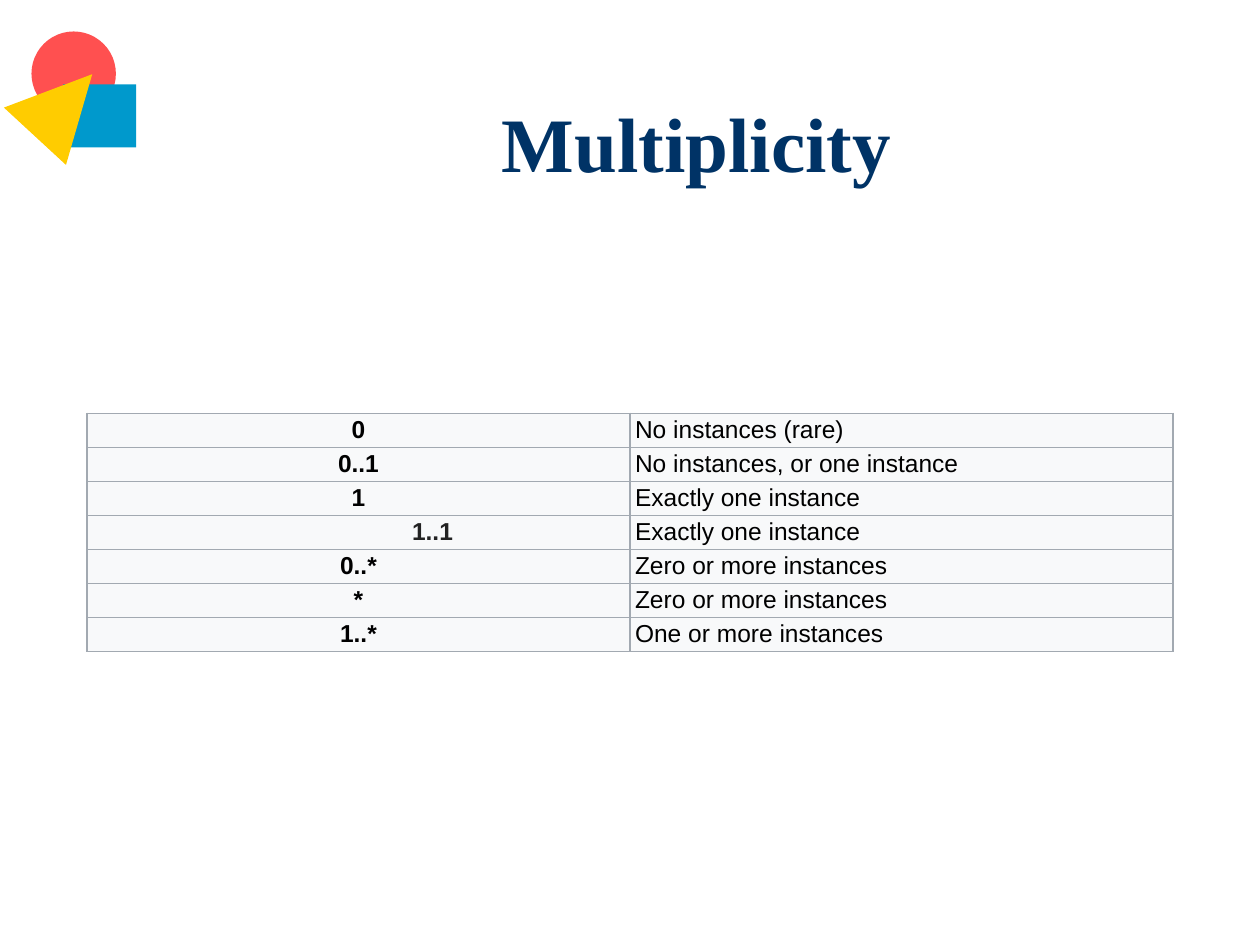
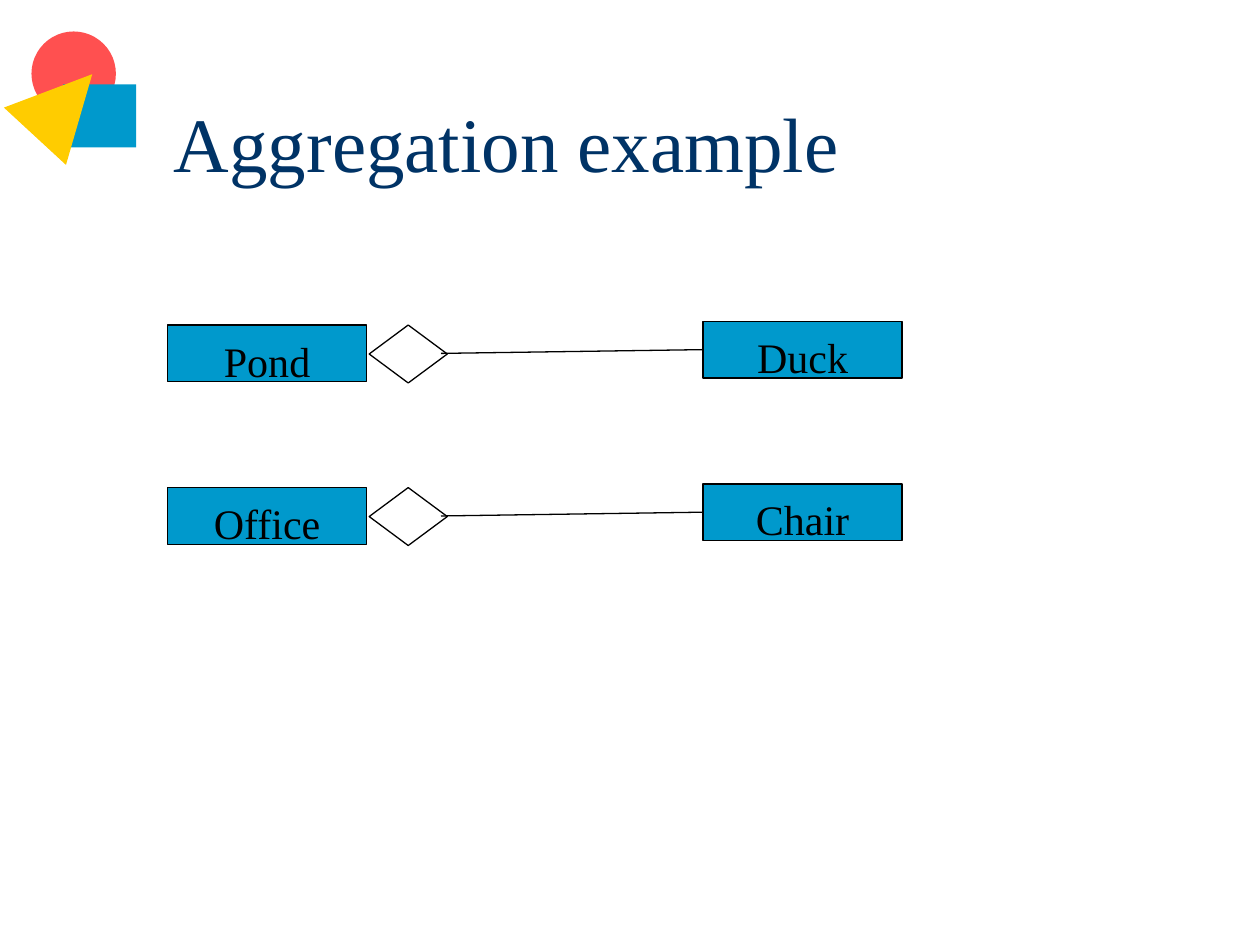
from lxml import etree
from pptx import Presentation
from pptx.dml.color import RGBColor
from pptx.enum.shapes import MSO_CONNECTOR, MSO_SHAPE
from pptx.enum.text import MSO_ANCHOR, PP_ALIGN
from pptx.oxml import parse_xml
from pptx.oxml.ns import nsdecls, qn
from pptx.util import Inches, Pt

OVAL, RECT = MSO_SHAPE.OVAL, MSO_SHAPE.RECTANGLE
TRIANGLE, DIAMOND = MSO_SHAPE.ISOSCELES_TRIANGLE, MSO_SHAPE.DIAMOND
STRAIGHT = MSO_CONNECTOR.STRAIGHT
LEFT, CENTER = PP_ALIGN.LEFT, PP_ALIGN.CENTER
TOP, MIDDLE = MSO_ANCHOR.TOP, MSO_ANCHOR.MIDDLE

NAVY = RGBColor(0x00, 0x33, 0x66)
RED = RGBColor(0xFF, 0x50, 0x50)
BLUE = RGBColor(0x00, 0x99, 0xCC)
YELLOW = RGBColor(0xFF, 0xCC, 0x00)
BLACK = RGBColor(0, 0, 0)
CHARCOAL = RGBColor(0x22, 0x22, 0x22)
CELL_FILL = RGBColor(0xF8, 0xF9, 0xFA)
BORDER = RGBColor(0xA2, 0xA9, 0xB1)

SERIF, SANS = "Times New Roman", "Arial"
THIN = Pt(0.75)

MULTIPLICITIES = [
    ("0", "No instances (rare)"),
    ("0..1", "No instances, or one instance"),
    ("1", "Exactly one instance"),
    ("1..1", "Exactly one instance"),
    ("0..*", "Zero or more instances"),
    ("*", "Zero or more instances"),
    ("1..*", "One or more instances"),
]
AGGREGATIONS = [("Pond", "Duck"), ("Office", "Chair")]


class Deck:
    """Holds the shared style and the current slide."""

    def __init__(self):
        self.prs = Presentation()
        self.prs.slide_width, self.prs.slide_height = Inches(10), Inches(7.5)
        self.s = None

    def add_text(self, tf, text, align=LEFT, **font):
        p = tf.paragraphs[0]
        p.alignment = align
        r = p.add_run()
        r.text = text
        style = {"name": SERIF, "bold": False} | font
        r.font.color.rgb = style.pop("color", BLACK)
        for name, value in style.items():
            setattr(r.font, name, value)

    def slide(self, title, align=LEFT, bold=False):
        self.s = self.prs.slides.add_slide(self.prs.slide_layouts[5])
        self.shape(OVAL, 0.25, 0.25, 0.67, 0.67, RED)
        self.shape(RECT, 0.5, 0.67, 0.58, 0.5, BLUE)
        self.shape(TRIANGLE, 0.17, 0.5, 0.67, 0.67, YELLOW).rotation = 42.7
        sp = self.s.shapes.title
        box = {"left": 1.28, "top": 0.5, "width": 8.5, "height": 1.25}
        for name, value in box.items():
            setattr(sp, name, Inches(value))
        sp.text_frame.vertical_anchor = MIDDLE
        self.add_text(sp.text_frame, title, align, size=Pt(44), color=NAVY, bold=bold)

    def shape(self, kind, x, y, w, h, fill=None, line=None):
        sp = self.s.shapes.add_shape(kind, Inches(x), Inches(y), Inches(w), Inches(h))
        sp.shadow.inherit = False
        if fill is None:
            sp.fill.background()
        else:
            sp.fill.solid()
            sp.fill.fore_color.rgb = fill
        if line is None:
            sp.line.fill.background()
        else:
            sp.line.color.rgb, sp.line.width = line, THIN
        return sp

    def class_box(self, x, y, w, h, text):
        tf = self.shape(RECT, x, y, w, h, BLUE, BLACK).text_frame
        tf.vertical_anchor = TOP
        tf.margin_top, tf.margin_bottom = Inches(0.08), 0
        self.add_text(tf, text, CENTER, size=Pt(24))

    def line(self, x1, y1, x2, y2):
        c = self.s.shapes.add_connector(
            STRAIGHT, Inches(x1), Inches(y1), Inches(x2), Inches(y2))
        c.line.color.rgb, c.line.width = BLACK, THIN
        etree.SubElement(c._element.spPr, qn("a:effectLst"))

    def table(self, x, y, col_width, row_height, rows):
        n = len(rows)
        tbl = self.s.shapes.add_table(
            n, 2, Inches(x), Inches(y), Inches(2 * col_width), Inches(n * row_height)).table
        tbl.first_row = tbl.horz_banding = False
        for row, texts in zip(tbl.rows, rows):
            row.height = Inches(row_height)
            for i, (cell, text) in enumerate(zip(row.cells, texts)):
                self.cell(cell, text, key=i == 0)

    def cell(self, cell, text, key):
        indented = text == "1..1"
        margins = {"left": 2.58 if indented else 0.04,
                   "right": 0.04, "top": 0.02, "bottom": 0.02}
        for side, value in margins.items():
            setattr(cell, f"margin_{side}", Inches(value))
        cell.vertical_anchor = MIDDLE
        align = CENTER if key and not indented else LEFT
        self.add_text(cell.text_frame, text, align, name=SANS, size=Pt(14), bold=key,
                      color=CHARCOAL if indented else BLACK)
        tcPr = cell._tc.get_or_add_tcPr()
        for edge in ("lnL", "lnR", "lnT", "lnB"):
            tcPr.append(parse_xml(
                f'<a:{edge} {nsdecls("a")} w="{THIN}"><a:solidFill>'
                f'<a:srgbClr val="{BORDER}"/></a:solidFill></a:{edge}>'))
        cell.fill.solid()
        cell.fill.fore_color.rgb = CELL_FILL

    def aggregation(self, y, whole, part):
        w, h, part_y = 1.58, 0.45, y - 0.03
        self.class_box(1.33, y, w, h, whole)
        self.class_box(5.58, part_y, w, h, part)
        self.line(5.58, part_y + h / 2, 3.5, y + h / 2)
        self.shape(DIAMOND, 2.93, y, 0.62, 0.46, line=BLACK)


def main():
    deck = Deck()
    deck.slide("Multiplicity", CENTER, bold=True)
    deck.table(0.69, 3.28, 4.31, 0.27, MULTIPLICITIES)

    deck.slide("Aggregation example")
    for i, (whole, part) in enumerate(AGGREGATIONS):
        deck.aggregation(2.58 + 1.29 * i, whole, part)

    deck.prs.save("out.pptx")


if __name__ == "__main__":
    main()
